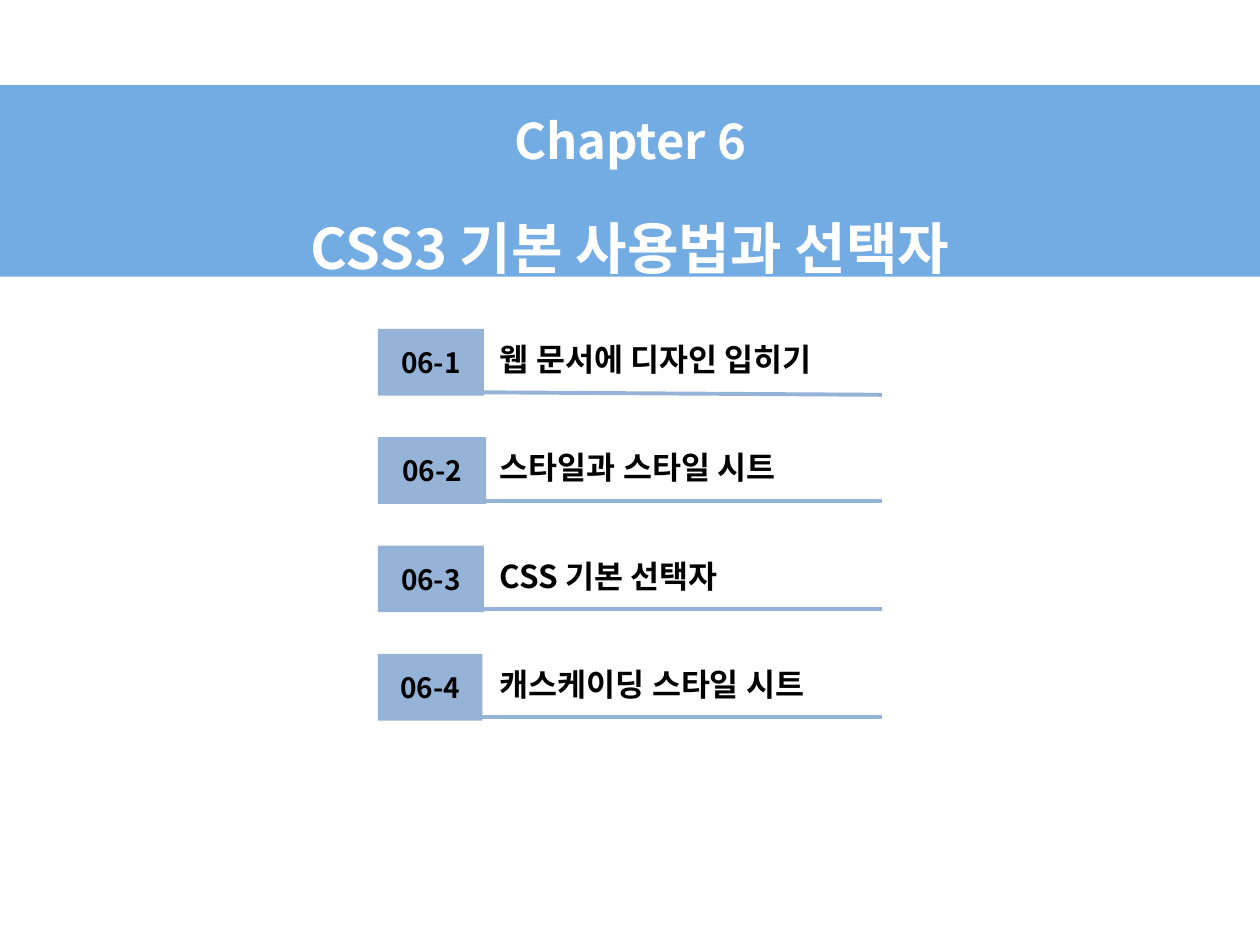
import pptx
import pptx.util
import pptx.dml.color
import pptx.enum.shapes
import pptx.enum.text
import pptx.oxml.ns
import lxml.etree

FONT = "Noto Sans CJK KR"
COLORS = {"band": "0066CC", "tag": "95B3D7", "title": "FFFFFF", "text": "000000"}
W, H = 10, 7.5
TITLE = [("Chapter 6", 28), ("CSS3 기본 사용법과 선택자", 32)]
SECTIONS = [
    ("06-1", "웹 문서에 디자인 입히기", 0.84, 0.02),
    ("06-2", "스타일과 스타일 시트", 0.86, 0),
    ("06-3", "CSS 기본 선택자", 0.84, 0),
    ("06-4", "캐스케이딩 스타일 시트", 0.83, 0),
]


def inches(*values):
    return [pptx.util.Inches(v) for v in values]


def rgb(name):
    return pptx.dml.color.RGBColor.from_string(COLORS[name])


def add_child(parent, tag, **attrs):
    return lxml.etree.SubElement(parent, pptx.oxml.ns.qn(tag), **attrs)


def style(p, size, color, align):
    p.alignment = align
    for r in p.runs:
        r.font.size = pptx.util.Pt(size)
        r.font.bold = True
        r.font.name = FONT
        r.font.color.rgb = rgb(color)
        add_child(r.font._element, "a:ea", typeface=FONT)


def add_rect(s, box, color):
    sp = s.shapes.add_shape(pptx.enum.shapes.MSO_SHAPE.RECTANGLE, *inches(*box))
    sp.shadow.inherit = False
    sp.fill.solid()
    sp.fill.fore_color.rgb = rgb(color)
    sp.line.fill.background()
    sp.text_frame.vertical_anchor = pptx.enum.text.MSO_ANCHOR.MIDDLE
    return sp


def add_band(s, box):
    sp = add_rect(s, box, "band")
    fill = sp.fill._xPr.find(pptx.oxml.ns.qn("a:solidFill"))
    add_child(fill[0], "a:alpha", val="55000")
    tf = sp.text_frame
    tf.text = "\n".join(text for text, size in TITLE)
    for p, (text, size) in zip(tf.paragraphs, TITLE):
        p.line_spacing = 1.5
        p.space_before = pptx.util.Pt(0.2 * size)
        style(p, size, "title", pptx.enum.text.PP_ALIGN.CENTER)


def add_section(s, box, number, heading, tag_w, tilt):
    x, y, w, h = box
    tag = add_rect(s, (x, y, tag_w, h), "tag")
    tag.text_frame.text = number
    style(tag.text_frame.paragraphs[0], 16, "text", pptx.enum.text.PP_ALIGN.CENTER)

    line_y = y + 0.95 * h
    line = s.shapes.add_connector(
        pptx.enum.shapes.MSO_CONNECTOR.STRAIGHT,
        *inches(x + 0.2 * w, line_y, x + w, line_y + tilt))
    line.line.color.rgb = rgb("tag")
    line.line.width = pptx.util.Pt(2.25)
    add_child(line._element.spPr, "a:effectLst")

    tb = s.shapes.add_textbox(*inches(x + 0.87, y + 0.04, 3.26, 0.4))
    tf = tb.text_frame
    tf.word_wrap = True
    tf.auto_size = pptx.enum.text.MSO_AUTO_SIZE.SHAPE_TO_FIT_TEXT
    tf.text = heading
    style(tf.paragraphs[0], 18, "text", pptx.enum.text.PP_ALIGN.LEFT)


def add_contents(s, box):
    x, y, w, h = box
    tag_h = 0.53
    pitch = (h - tag_h) / (len(SECTIONS) - 1)
    for i, section in enumerate(SECTIONS):
        add_section(s, (x, y + i * pitch, w, tag_h), *section)


def main():
    prs = pptx.Presentation()
    prs.slide_width, prs.slide_height = inches(W, H)
    s = prs.slides.add_slide(prs.slide_layouts[6])
    add_band(s, (0, 0.09 * H, W, 0.2 * H + 0.02))
    add_contents(s, (0.3 * W, 2.61, 0.4 * W, 3.11))
    prs.save("out.pptx")


if __name__ == "__main__":
    main()
